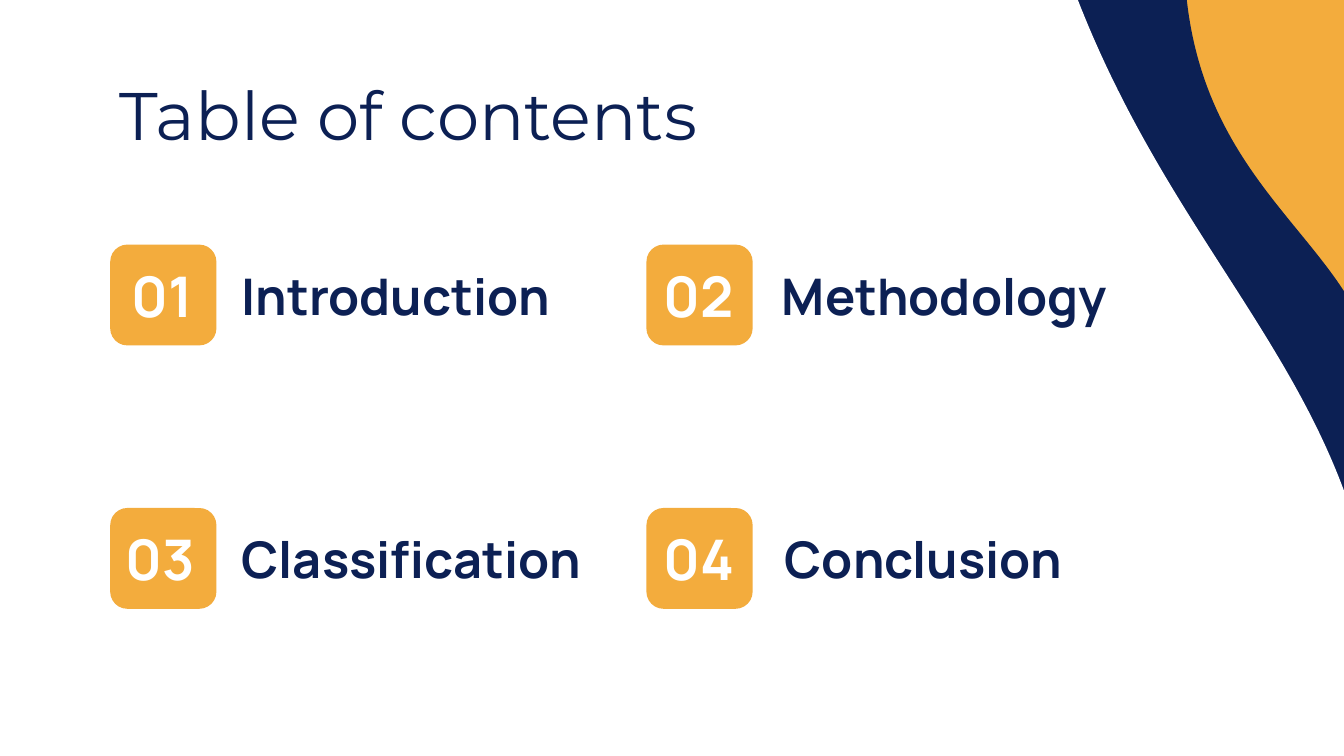
from dataclasses import dataclass

from pptx import Presentation
from pptx.dml.color import RGBColor
from pptx.enum.shapes import MSO_SHAPE
from pptx.enum.text import MSO_ANCHOR, PP_ALIGN
from pptx.shapes.autoshape import Shape
from pptx.slide import Slide
from pptx.util import Inches, Pt

ROUNDED = MSO_SHAPE.ROUNDED_RECTANGLE
WAVE = MSO_SHAPE.FLOWCHART_DOCUMENT
MIDDLE = MSO_ANCHOR.MIDDLE
LEFT, CENTER = PP_ALIGN.LEFT, PP_ALIGN.CENTER

ORANGE = RGBColor(0xF3, 0xAC, 0x3D)
NAVY = RGBColor(0x0C, 0x20, 0x54)
WHITE = RGBColor(0xFF, 0xFF, 0xFF)

SLIDE_WIDTH = 10
SLIDE_HEIGHT = SLIDE_WIDTH * 9 / 16
GRID_LEFT, GRID_TOP = 0.82, 1.82
COLUMN_PITCH, ROW_PITCH = 3.99, 1.96
BADGE_WIDTH, BADGE_HEIGHT = 0.79, 0.75
NUMBER_OFFSET = -0.02
HEADING_WIDTH, LINE_HEIGHT = 2.94, 0.58
TEXT_INSET = 0.1


@dataclass(frozen=True)
class Box:
    left: float
    top: float
    width: float
    height: float

    def emu(self) -> tuple[int, int, int, int]:
        return (Inches(self.left), Inches(self.top),
                Inches(self.width), Inches(self.height))


@dataclass(frozen=True)
class TextStyle:
    font: str
    size: float
    color: RGBColor
    bold: bool = False
    align: PP_ALIGN = LEFT


@dataclass(frozen=True)
class Section:
    number: str
    heading: str
    column: int
    row: int
    heading_offset: float
    number_width: float = 0.82


TITLE = TextStyle("Montserrat", 36, NAVY)
HEADING = TextStyle("Manrope", 27, NAVY, bold=True)
NUMBER = TextStyle("Manrope", 30, WHITE, bold=True, align=CENTER)

SECTIONS = (
    Section("01", "Introduction", 0, 0, 0.88),
    Section("02", "Methodology", 1, 0, 0.91),
    Section("03", "Classification", 0, 1, 0.88, number_width=0.79),
    Section("04", "Conclusion", 1, 1, 0.93),
)


def add_filled(slide: Slide, kind: MSO_SHAPE, box: Box, color: RGBColor,
               rotation: float = 0) -> Shape:
    shape = slide.shapes.add_shape(kind, *box.emu())
    shape.shadow.inherit = False
    shape.fill.solid()
    shape.fill.fore_color.rgb = color
    shape.line.fill.background()
    shape.rotation = rotation
    return shape


def add_text(slide: Slide, text: str, box: Box, style: TextStyle) -> None:
    frame = slide.shapes.add_textbox(*box.emu()).text_frame
    frame.word_wrap = True
    frame.vertical_anchor = MIDDLE
    frame.margin_left = frame.margin_right = Inches(TEXT_INSET)
    frame.margin_top = frame.margin_bottom = Inches(TEXT_INSET)
    paragraph = frame.paragraphs[0]
    paragraph.alignment = style.align
    run = paragraph.add_run()
    run.text = text
    run.font.name = style.font
    run.font.size = Pt(style.size)
    run.font.bold = style.bold
    run.font.color.rgb = style.color


def add_section(slide: Slide, section: Section) -> None:
    left = GRID_LEFT + section.column * COLUMN_PITCH
    top = GRID_TOP + section.row * ROW_PITCH
    text_top = top + (BADGE_HEIGHT - LINE_HEIGHT) / 2
    badge = add_filled(slide, ROUNDED, Box(left, top, BADGE_WIDTH, BADGE_HEIGHT), ORANGE)
    badge.adjustments[0] = 0.17
    add_text(slide, section.number,
             Box(left + NUMBER_OFFSET, text_top, section.number_width, LINE_HEIGHT),
             NUMBER)
    add_text(slide, section.heading,
             Box(left + section.heading_offset, text_top, HEADING_WIDTH, LINE_HEIGHT),
             HEADING)


def main() -> None:
    deck = Presentation()
    deck.slide_width, deck.slide_height = Inches(SLIDE_WIDTH), Inches(SLIDE_HEIGHT)
    slide = deck.slides.add_slide(deck.slide_layouts[6])
    slide.background.fill.solid()
    slide.background.fill.fore_color.rgb = ORANGE

    add_filled(slide, WAVE, Box(4.66, -1.37, 4.36, 6.93), NAVY, rotation=267)
    add_filled(slide, WAVE, Box(-0.56, -2.74, 10.13, 11.42), WHITE, rotation=264.8)
    add_text(slide, "Table of contents", Box(0.79, 0.58, 8.43, 0.53), TITLE)
    for section in SECTIONS:
        add_section(slide, section)

    deck.save("out.pptx")


if __name__ == "__main__":
    main()
